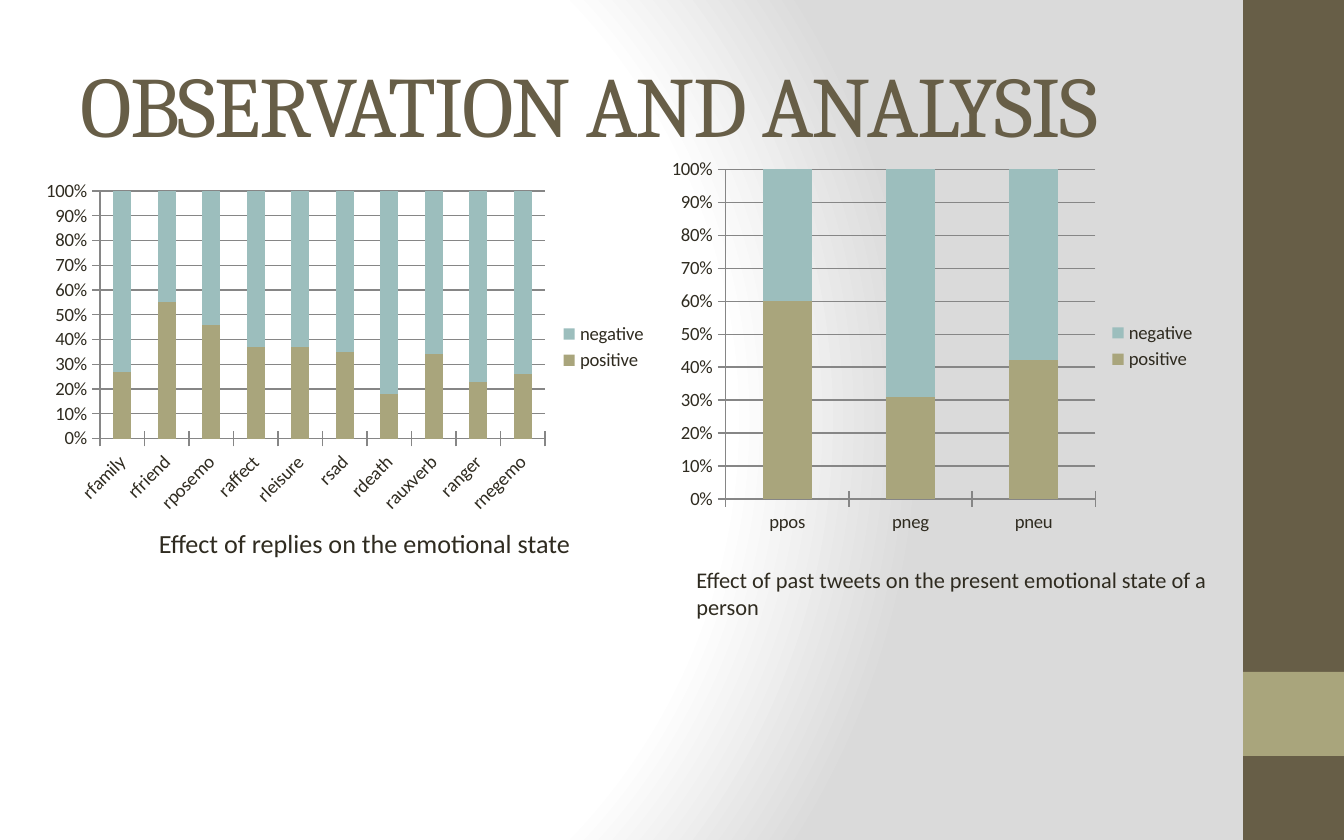
from dataclasses import dataclass

from lxml import etree
from pptx import Presentation
from pptx.chart.data import CategoryChartData
from pptx.dml.color import RGBColor
from pptx.enum.chart import XL_CHART_TYPE, XL_LEGEND_POSITION, XL_TICK_MARK
from pptx.enum.shapes import MSO_SHAPE
from pptx.enum.text import MSO_ANCHOR, MSO_AUTO_SIZE, PP_ALIGN
from pptx.oxml.ns import qn
from pptx.util import Inches, Pt

STACKED = XL_CHART_TYPE.COLUMN_STACKED_100
RIGHT = XL_LEGEND_POSITION.RIGHT
CROSS = XL_TICK_MARK.CROSS
RECT = MSO_SHAPE.RECTANGLE
TOP, MIDDLE = MSO_ANCHOR.TOP, MSO_ANCHOR.MIDDLE
GROW, FIXED = MSO_AUTO_SIZE.SHAPE_TO_FIT_TEXT, MSO_AUTO_SIZE.NONE
LEFT = PP_ALIGN.LEFT
WIDE, HIGH = Inches(10), Inches(6.25)
COLS, ROWS = 120, 75


@dataclass(frozen=True)
class Theme:
    head: str = "Cambria"
    body: str = "Calibri"
    brown: str = "675E47"
    olive: str = "A9A57C"
    teal: str = "9CBEBD"
    ink: str = "2F2B20"
    grid: str = "868686"
    white: str = "FFFFFF"
    gray: str = "DADADA"
    title: float = 46
    large: float = 14
    small: float = 12
    label: float = 10


@dataclass(frozen=True)
class Box:
    """A place on the slide, in grid columns and rows."""
    col: float
    row: float
    cols: float
    rows: float

    def place(self) -> tuple[int, int, int, int]:
        x, y = WIDE / COLS, HIGH / ROWS
        return (round(self.col * x), round(self.row * y),
                round(self.cols * x), round(self.rows * y))


@dataclass(frozen=True)
class Bar:
    box: Box
    color: str


@dataclass(frozen=True)
class Plot:
    box: Box
    shares: dict[str, int]  # percent of positive words in each category


@dataclass(frozen=True)
class Note:
    box: Box
    text: str
    size: float
    wrap: bool


THEME = Theme()
TITLE = Box(6, 3, 100, 12.5)
BARS = [
    Bar(Box(111, 0, 9, ROWS), THEME.brown),
    Bar(Box(111, 60, 9, 7.5), THEME.olive),
]
PLOTS = [
    Plot(Box(3, 15.5, 56, 31),
         {"rfamily": 27, "rfriend": 55, "rposemo": 46, "raffect": 37,
          "rleisure": 37, "rsad": 35, "rdeath": 18, "rauxverb": 34,
          "ranger": 23, "rnegemo": 26}),
    Plot(Box(59, 13.5, 49, 34.8), {"ppos": 60, "pneg": 31, "pneu": 42}),
]
NOTES = [
    Note(Box(13, 46.5, 39.6, 7.7),
         "Effect of replies on the emotional state", THEME.large, False),
    Note(Box(61, 50, 53, 6),
         "Effect of past tweets on the present emotional state of a person",
         THEME.small, True),
]


def rgb(color: str) -> RGBColor:
    return RGBColor.from_string(color)


def write(shape, text: str, *, size: float, font: str = THEME.body,
          color: str = THEME.ink, anchor=TOP, fit=GROW, wrap: bool = True,
          space: int = 0) -> None:
    """Fill a shape with one left-aligned run; space is in 1/100 point."""
    frame = shape.text_frame
    frame.word_wrap, frame.auto_size = wrap, fit
    frame.vertical_anchor = anchor
    line = frame.paragraphs[0]
    line.alignment = LEFT
    run = line.add_run()
    run.text = text
    run.font.name, run.font.size = font, Pt(size)
    run.font.color.rgb = rgb(color)
    if space:
        run.font._element.set("spc", str(space))


def paint(slide) -> None:
    """Give the slide its round white-to-gray background."""
    fill = slide.background.fill
    fill.gradient()
    grad = slide._element.find(".//" + qn("a:gradFill"))
    for part in list(grad):
        grad.remove(part)
    stops = etree.SubElement(grad, qn("a:gsLst"))
    for pos, color in ((0, THEME.white), (75, THEME.white), (100, THEME.gray)):
        stop = etree.SubElement(stops, qn("a:gs"), pos=str(pos * 1000))
        etree.SubElement(stop, qn("a:srgbClr"), val=color)
    shade = etree.SubElement(grad, qn("a:path"), {"path": "circle"})
    etree.SubElement(shade, qn("a:fillToRect"),
                     l="20000", t="50000", r="100000", b="50000")


def draw_bar(slide, bar: Bar) -> None:
    shape = slide.shapes.add_shape(RECT, *bar.box.place())
    shape.shadow.inherit = False
    shape.fill.solid()
    shape.fill.fore_color.rgb = rgb(bar.color)
    shape.line.fill.background()


def draw_plot(slide, plot: Plot) -> None:
    data = CategoryChartData()
    data.categories = list(plot.shares)
    good = list(plot.shares.values())
    data.add_series("positive", good)
    data.add_series("negative", [100 - share for share in good])
    chart = slide.shapes.add_chart(STACKED, *plot.box.place(), data).chart
    chart.has_title = False
    chart.font.name, chart.font.size = THEME.body, Pt(THEME.label)
    chart.font.color.rgb = rgb(THEME.ink)
    chart.has_legend = True
    chart.legend.position = RIGHT
    chart.legend.include_in_layout = False
    bars = chart.plots[0]
    bars.gap_width, bars.overlap = 150, 100
    bars.vary_by_categories = False
    for series, color in zip(bars.series, (THEME.olive, THEME.teal)):
        series.format.fill.solid()
        series.format.fill.fore_color.rgb = rgb(color)
    axis = chart.value_axis
    axis.has_major_gridlines = True
    axis.tick_labels.number_format = "0%"
    axis.tick_labels.number_format_is_linked = False
    for side in (axis, chart.category_axis):
        side.major_tick_mark = CROSS
    for part in (axis, chart.category_axis, axis.major_gridlines):
        part.format.line.color.rgb = rgb(THEME.grid)
        part.format.line.width = Pt(0.75)


def draw_note(slide, note: Note) -> None:
    shape = slide.shapes.add_textbox(*note.box.place())
    write(shape, note.text, size=note.size, wrap=note.wrap)


def main() -> None:
    deck = Presentation()
    deck.slide_width, deck.slide_height = WIDE, HIGH
    slide = deck.slides.add_slide(deck.slide_layouts[5])
    paint(slide)
    title = slide.shapes.title
    title.left, title.top, title.width, title.height = TITLE.place()
    write(title, "OBSERVATION AND ANALYSIS", size=THEME.title,
          font=THEME.head, color=THEME.brown, anchor=MIDDLE, fit=FIXED,
          space=-100)
    for bar in BARS:
        draw_bar(slide, bar)
    for plot, note in zip(PLOTS, NOTES):
        draw_plot(slide, plot)
        draw_note(slide, note)
    deck.save("out.pptx")


if __name__ == "__main__":
    main()
